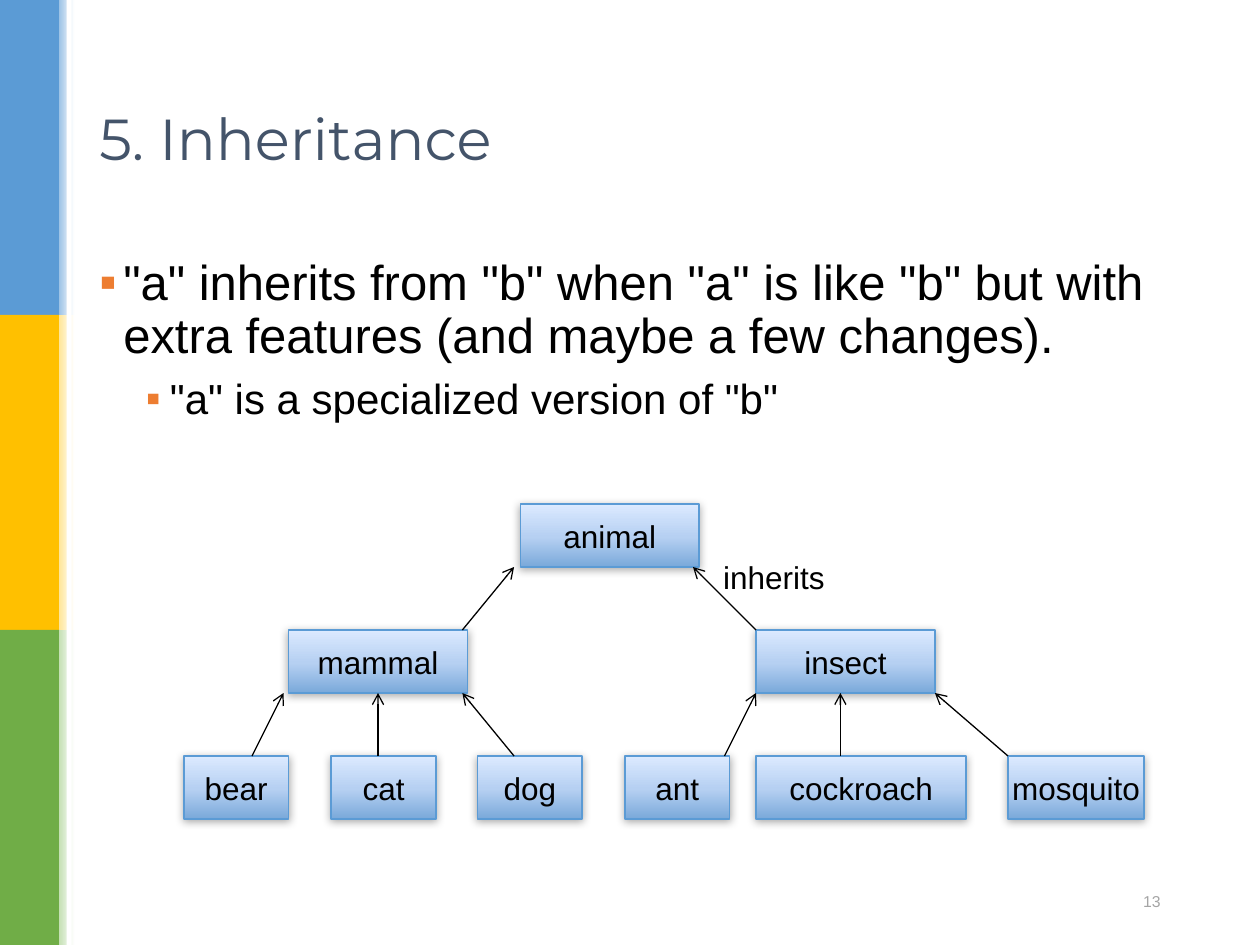
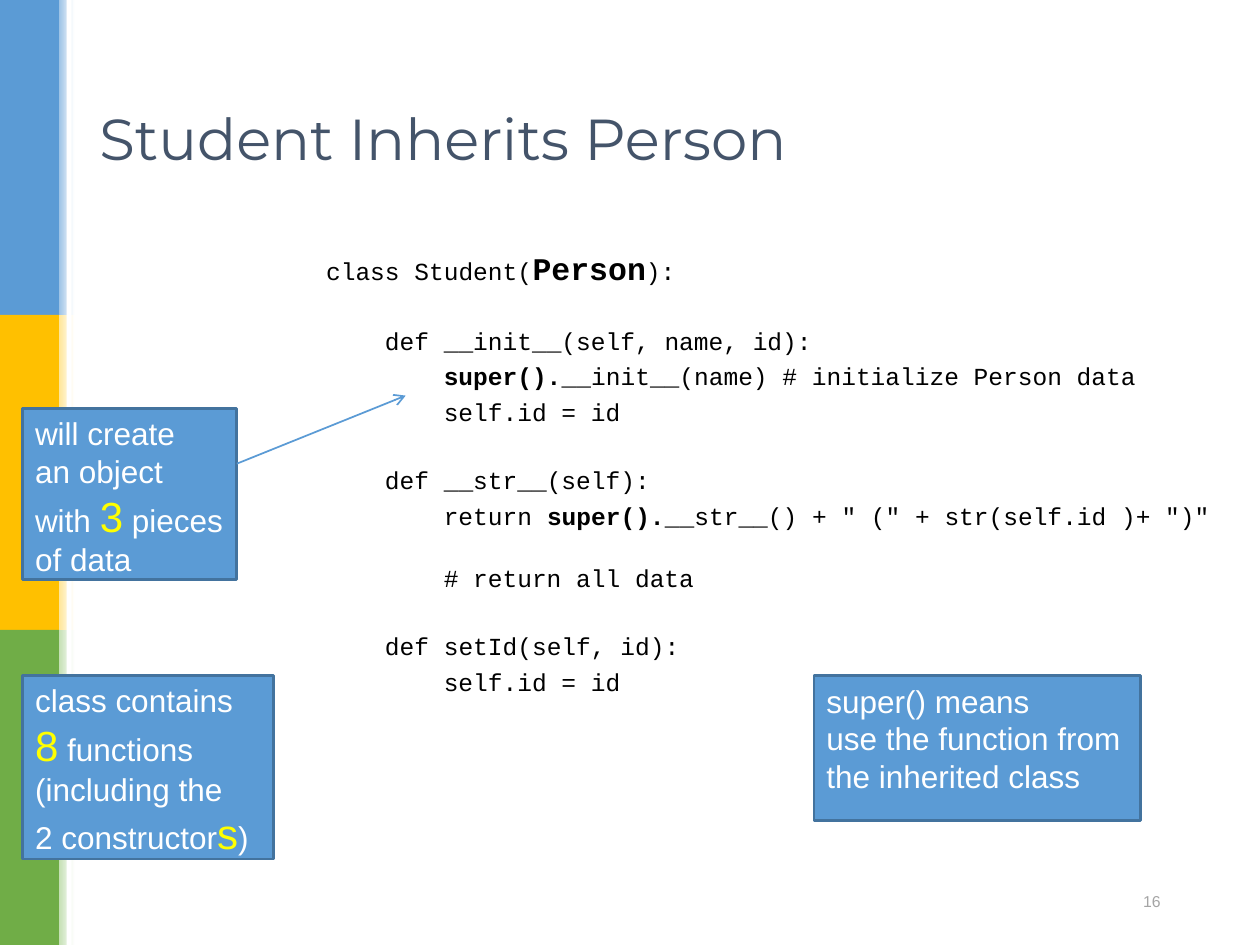
from lxml.etree import SubElement
from pptx import Presentation
from pptx.dml.color import RGBColor
from pptx.enum.shapes import MSO_CONNECTOR, MSO_SHAPE
from pptx.enum.text import MSO_ANCHOR, PP_ALIGN
from pptx.oxml.ns import qn
from pptx.util import Inches, Pt

BLUE = RGBColor(0x5B, 0x9B, 0xD5)
GOLD = RGBColor(0xFF, 0xC0, 0x00)
GREEN = RGBColor(0x70, 0xAD, 0x47)
PALE_BLUE = RGBColor(0x9D, 0xC3, 0xE6)
PALE_GOLD = RGBColor(0xFF, 0xE6, 0x99)
PALE_GREEN = RGBColor(0xC5, 0xE0, 0xB4)
NODE_LOW = RGBColor(0x7A, 0xA9, 0xDA)
NODE_MID = RGBColor(0xB6, 0xD0, 0xF2)
NODE_HIGH = RGBColor(0xDC, 0xEA, 0xFF)
CALLOUT_EDGE = RGBColor(0x43, 0x73, 0x9E)
SLATE = RGBColor(0x44, 0x54, 0x6A)
GRAY = RGBColor(0xA5, 0xA5, 0xA5)
ORANGE = RGBColor(0xED, 0x7D, 0x31)
YELLOW = RGBColor(0xFF, 0xFF, 0x00)
BLACK = RGBColor(0, 0, 0)
WHITE = RGBColor(0xFF, 0xFF, 0xFF)

BANDS = [(BLUE, PALE_BLUE), (GOLD, PALE_GOLD), (GREEN, PALE_GREEN)]
BAND_HEIGHT = 2.5
CODE_INDENT = 0.467
LINE_GAP, BLOCK_GAP = 5.1, 24.1

LARGE = {"size": 24, "color": YELLOW}
BOLD = {"bold": True}

NODES = [
    ("animal", 4.13, 4, 1.42), ("mammal", 2.29, 5, 1.42), ("insect", 6, 5, 1.42),
    ("bear", 1.46, 6, 0.83), ("cat", 2.63, 6, 0.83), ("dog", 3.79, 6, 0.83),
    ("ant", 4.96, 6, 0.83), ("cockroach", 6, 6, 1.67), ("mosquito", 8, 6, 1.08),
]
INHERITS = [
    (3.67, 4.08, 5), (6, 5.5, 5), (2, 2.25, 6), (4.08, 3.67, 6),
    (3, 3, 6), (5.75, 6, 6), (6.67, 6.67, 6), (8, 7.42, 6),
]
CODE = [
    (0, 0, ["class Student(", ("Person", {"bold": True, "size": 18}), "):"]),
    (1, BLOCK_GAP, ["def __init__(self, name, id):"]),
    (2, LINE_GAP, [("super().", BOLD), "__init__(name) # initialize Person data"]),
    (2, LINE_GAP, ["self.id = id"]),
    (1, BLOCK_GAP, ["def __str__(self):"]),
    (2, LINE_GAP, ["return ", ("super().", BOLD), '__str__() + " (" + str(self.id )+ ")"']),
    (2, 20.2, ["# return all data"]),
    (1, BLOCK_GAP, ["def setId(self, id):"]),
    (2, LINE_GAP, ["self.id = id"]),
]
CALLOUTS = [
    ((0.18, 3.24, 1.7, 1.36),
     [["will create"], ["an object"], ["with ", ("3", LARGE), " pieces"], ["of data"]]),
    ((0.18, 5.36, 1.99, 1.46),
     [["class contains"], [("8", LARGE), " functions"], ["(including the"],
      ["2 constructor", ("s", LARGE), ")"]]),
    ((6.46, 5.36, 2.59, 1.15),
     [["super() means"], ["use the function from"], ["the inherited class"]]),
]


class SlideBuilder:
    def __init__(self, deck):
        self.deck = deck
        self.slide = None

    def start(self, title, number):
        self.slide = self.deck.slides.add_slide(self.deck.slide_layouts[6])
        for row, (color, pale) in enumerate(BANDS):
            top = row * BAND_HEIGHT
            self.rectangle((0, top, 0.47, BAND_HEIGHT), color)
            fade = self.rectangle((0.47, top, 0.12, BAND_HEIGHT))
            self.gradient(fade, [(0, pale), (100, WHITE)], 0)
        self.rectangle((0.53, 0, 0.04, 7.5), WHITE)
        frame = self.text_box((0.69, 0.4, 8.62, 1.45), MSO_ANCHOR.MIDDLE)
        self.paragraph(frame, [title], 33, SLATE, "Montserrat").line_spacing = 0.9
        frame = self.text_box((6.62, 6.95, 2.69, 0.4), MSO_ANCHOR.MIDDLE)
        self.paragraph(frame, [str(number)], 9, GRAY).alignment = PP_ALIGN.RIGHT

    def rectangle(self, place, color=None, edge=None, width=1):
        box = self.slide.shapes.add_shape(MSO_SHAPE.RECTANGLE, *map(Inches, place))
        box.shadow.inherit = False
        if color is not None:
            box.fill.solid()
            box.fill.fore_color.rgb = color
        if edge is None:
            box.line.fill.background()
        else:
            box.line.color.rgb = edge
            box.line.width = Pt(width)
        return box

    def gradient(self, box, stops, angle):
        box.fill.gradient()
        fill = box.element.spPr.find(qn("a:gradFill"))
        for child in list(fill):
            fill.remove(child)
        stop_list = SubElement(fill, qn("a:gsLst"))
        for position, color in stops:
            stop = SubElement(stop_list, qn("a:gs"), pos=str(position * 1000))
            SubElement(stop, qn("a:srgbClr"), val=str(color))
        SubElement(fill, qn("a:lin"), ang=str(angle * 60000), scaled="0")

    def soft_shadow(self, box):
        effects = box.element.spPr.find(qn("a:effectLst"))
        shadow = SubElement(effects, qn("a:outerShdw"), blurRad=str(Pt(5)),
                            dist=str(Pt(1)), dir="5400000", rotWithShape="0")
        color = SubElement(shadow, qn("a:srgbClr"), val=str(BLACK))
        SubElement(color, qn("a:alpha"), val="32000")

    def text_box(self, place, anchor=MSO_ANCHOR.TOP):
        frame = self.slide.shapes.add_textbox(*map(Inches, place)).text_frame
        frame.word_wrap = True
        frame.vertical_anchor = anchor
        return frame

    def paragraph(self, frame, pieces, size, color, font="Arial"):
        para = frame.paragraphs[0]
        if para.runs:
            para = frame.add_paragraph()
        para.alignment = PP_ALIGN.LEFT
        for piece in pieces:
            text, style = (piece, {}) if isinstance(piece, str) else piece
            span = para.add_run()
            span.text = text
            span.font.name = font
            span.font.size = Pt(style.get("size", size))
            span.font.bold = style.get("bold", False)
            span.font.color.rgb = style.get("color", color)
        return para

    def indent(self, para, left, first=0):
        properties = para._p.get_or_add_pPr()
        properties.set("marL", str(Inches(left)))
        properties.set("indent", str(Inches(first)))
        return properties

    def bullet(self, frame, text, size, left, before):
        para = self.paragraph(frame, [text], size, BLACK)
        para.line_spacing = 0.9
        para.space_before = Pt(before)
        properties = self.indent(para, left, -0.19)
        color = SubElement(properties, qn("a:buClr"))
        SubElement(color, qn("a:srgbClr"), val=str(ORANGE))
        SubElement(properties, qn("a:buFont"), typeface="Arial")
        SubElement(properties, qn("a:buChar"), char="▪")

    def code(self, frame, level, before, pieces):
        para = self.paragraph(frame, pieces, 14, BLACK, "Courier New")
        para.line_spacing = 0.9
        para.space_before = Pt(before)
        self.indent(para, level * CODE_INDENT)

    def node(self, name, left, top, width):
        box = self.rectangle((left, top, width, 0.5), edge=BLUE)
        self.gradient(box, [(0, NODE_LOW), (48, NODE_MID), (100, NODE_HIGH)], 270)
        self.soft_shadow(box)
        box.text_frame.word_wrap = False
        box.text_frame.vertical_anchor = MSO_ANCHOR.MIDDLE
        self.paragraph(box.text_frame, [name], 18, BLACK).alignment = PP_ALIGN.CENTER

    def callout(self, place, lines):
        frame = self.rectangle(place, BLUE, CALLOUT_EDGE, 1.5).text_frame
        frame.word_wrap = False
        frame.vertical_anchor = MSO_ANCHOR.TOP
        for pieces in lines:
            self.paragraph(frame, pieces, 18, WHITE)

    def arrow(self, start, end, color, width):
        line = self.slide.shapes.add_connector(
            MSO_CONNECTOR.STRAIGHT, *map(Inches, start + end))
        line.line.color.rgb = color
        line.line.width = Pt(width)
        properties = line.element.spPr
        SubElement(properties.find(qn("a:ln")), qn("a:tailEnd"), type="arrow")
        SubElement(properties, qn("a:effectLst"))


def build_inheritance(builder):
    builder.start("5. Inheritance", 13)
    frame = builder.text_box((0.69, 2, 8.62, 1.6))
    builder.bullet(frame, '"a" inherits from "b" when "a" is like "b" but with '
                   "extra features (and maybe a few changes).", 28, 0.19, 0)
    builder.bullet(frame, '"a" is a specialized version of "b"', 24, 0.56, 8)
    for node in NODES:
        builder.node(*node)
    for child_x, parent_x, child_top in INHERITS:
        builder.arrow((child_x, child_top), (parent_x, child_top - 0.5), BLACK, 0.75)
    frame = builder.text_box((5.64, 4.38, 1.2, 0.5))
    builder.paragraph(frame, ["inherits"], 18, BLACK)


def build_student(builder):
    builder.start("Student Inherits Person", 16)
    frame = builder.text_box((2.49, 1.96, 7.33, 4.76))
    for level, before, pieces in CODE:
        builder.code(frame, level, before, pieces)
    for place, lines in CALLOUTS:
        builder.callout(place, lines)
    builder.arrow((1.88, 3.68), (3.22, 3.14), BLUE, 1)


def main():
    deck = Presentation()
    deck.slide_width = Inches(10)
    deck.slide_height = Inches(7.5)
    builder = SlideBuilder(deck)
    build_inheritance(builder)
    build_student(builder)
    deck.save("out.pptx")


if __name__ == "__main__":
    main()
